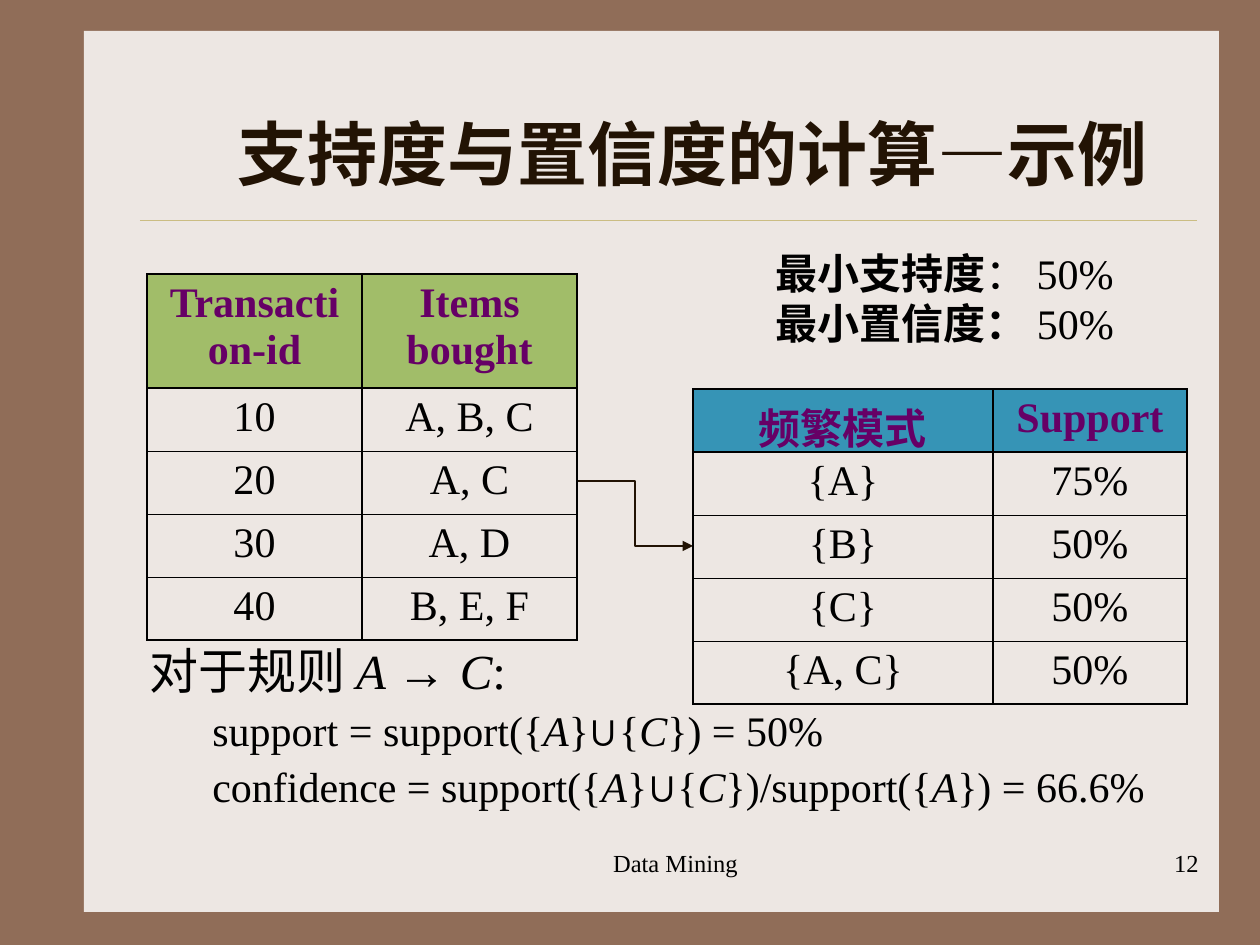
"""Build the slide on computing support and confidence of a rule."""
from dataclasses import dataclass

from lxml import etree
from pptx import Presentation
from pptx.dml.color import RGBColor
from pptx.enum.shapes import MSO_CONNECTOR, MSO_SHAPE
from pptx.enum.text import MSO_ANCHOR, MSO_AUTO_SIZE, PP_ALIGN
from pptx.oxml.ns import qn
from pptx.util import Pt

STRAIGHT, ELBOW = MSO_CONNECTOR.STRAIGHT, MSO_CONNECTOR.ELBOW
RECTANGLE = MSO_SHAPE.RECTANGLE
LEFT, CENTER, RIGHT = PP_ALIGN.LEFT, PP_ALIGN.CENTER, PP_ALIGN.RIGHT
TOP, MIDDLE = MSO_ANCHOR.TOP, MSO_ANCHOR.MIDDLE
NO_FIT, GROW = MSO_AUTO_SIZE.NONE, MSO_AUTO_SIZE.SHAPE_TO_FIT_TEXT
EMU_PER_PX = 914400 / 126
TITLE_ONLY = 5


@dataclass(frozen=True)
class Theme:
    """Colours, fonts and type sizes of the slide."""
    frame: str = "906D58"
    panel: str = "EDE7E3"
    rule: str = "CBBD83"
    title: str = "221304"
    text: str = "000000"
    header_text: str = "660066"
    transactions: str = "A1BD69"
    patterns: str = "3694B6"
    font: str = "Times New Roman"
    symbol_font: str = "Arial"
    dash_font: str = "Karla"
    title_size: int = 40
    rule_size: int = 28
    text_size: int = 24
    footer_size: int = 14
    thick: float = 1.08
    thin: float = 0.45


THEME = Theme()
ITALIC = {"italic": True}
BOLD = {"bold": True}
SYMBOL = {"font": THEME.symbol_font}


def px(length):
    """Turn pixels into EMU."""
    return round(length * EMU_PER_PX)


def rgb(code):
    """Turn a hex code into a colour."""
    return RGBColor.from_string(code)


def add_text(paragraph, text, size=THEME.text_size, color=THEME.text,
             font=THEME.font, bold=False, italic=False):
    """Add one formatted run to a paragraph."""
    run = paragraph.add_run()
    run.text = text
    run.font.size, run.font.name = Pt(size), font
    run.font.bold, run.font.italic = bold, italic
    run.font.color.rgb = rgb(color)


def add_runs(paragraph, runs, align=LEFT, **common):
    """Fill a paragraph with (text, format) runs."""
    paragraph.alignment = align
    for text, own in runs:
        add_text(paragraph, text, **{**common, **own})


def add_box(slide, box, paragraphs, align=LEFT, anchor=TOP, wrap=True, fit=NO_FIT, **common):
    """Add a text box with one list of runs for each paragraph."""
    frame = slide.shapes.add_textbox(*map(px, box)).text_frame
    frame.word_wrap, frame.auto_size, frame.vertical_anchor = wrap, fit, anchor
    for index, runs in enumerate(paragraphs):
        paragraph = frame.add_paragraph() if index else frame.paragraphs[0]
        add_runs(paragraph, runs, align, **common)
    return frame


def add_line(slide, kind, ends, color, width, arrow=False):
    """Add a connector, with an arrowhead at its end if asked."""
    connector = slide.shapes.add_connector(kind, *map(px, ends))
    connector.line.color.rgb, connector.line.width = rgb(color), Pt(width)
    if arrow:
        line = connector.line._get_or_add_ln()
        etree.SubElement(line, qn("a:tailEnd"), type="triangle")
    etree.SubElement(connector.element.spPr, qn("a:effectLst"))


def set_borders(cell, top, bottom):
    """Draw the four cell borders, the sides being thick."""
    properties = cell._tc.get_or_add_tcPr()
    widths = {"L": THEME.thick, "R": THEME.thick, "T": top, "B": bottom}
    for position, (side, width) in enumerate(widths.items()):
        line = etree.Element(qn(f"a:ln{side}"), w=str(Pt(width)))
        fill = etree.SubElement(line, qn("a:solidFill"))
        etree.SubElement(fill, qn("a:srgbClr"), val=THEME.text)
        properties.insert(position, line)


def add_grid(slide, corner, widths, heights, rows, header_fill):
    """Add a table with a coloured header row and thin inner row lines."""
    box = (*corner, sum(widths), sum(heights))
    table = slide.shapes.add_table(len(rows), len(widths), *map(px, box)).table
    table.first_row = table.horz_banding = False
    for column, width in zip(table.columns, widths):
        column.width = px(width)
    edges = [THEME.thick] * 2 + [THEME.thin] * (len(rows) - 2) + [THEME.thick]
    for r, values in enumerate(rows):
        table.rows[r].height = px(heights[r])
        for c, value in enumerate(values):
            cell = table.cell(r, c)
            if r:
                cell.fill.background()
            else:
                cell.fill.solid()
                cell.fill.fore_color.rgb = rgb(header_fill)
            set_borders(cell, edges[r], edges[r + 1])
            add_runs(cell.text_frame.paragraphs[0], [(value, {})], CENTER, bold=not r,
                     color=THEME.text if r else THEME.header_text)


def add_backdrop(slide):
    """Colour the frame and lay the panel and rule behind the title."""
    slide.background.fill.solid()
    slide.background.fill.fore_color.rgb = rgb(THEME.frame)
    panel = slide.shapes.add_shape(RECTANGLE, *map(px, (84, 31, 1135, 881)))
    panel.shadow.inherit = False
    panel.fill.solid()
    panel.fill.fore_color.rgb = rgb(THEME.panel)
    panel.line.fill.background()
    slide.shapes.title.element.addprevious(panel.element)
    add_line(slide, STRAIGHT, (140, 220, 1197, 220), THEME.rule, 0.25)


def set_title(slide):
    """Place and fill the title placeholder."""
    title = slide.shapes.title
    title.left, title.top, title.width, title.height = map(px, (199, 105, 987, 95))
    frame = title.text_frame
    frame.auto_size, frame.vertical_anchor = NO_FIT, MIDDLE
    runs = [("支持度与置信度的计算", {}), ("—", {"font": THEME.dash_font}), ("示例", {})]
    add_runs(frame.paragraphs[0], runs, CENTER, size=THEME.title_size,
             color=THEME.title, bold=True)


def add_rule_text(slide):
    """Add the rule with its support and confidence formulas."""
    union = [("A", ITALIC), ("}", {}), ("∪", SYMBOL), ("{", {}), ("C", ITALIC)]
    rule = [("对于规则 ", {}), ("A ", ITALIC), ("→ ", SYMBOL), ("C", ITALIC), (":", {})]
    rule = [(text, {"size": THEME.rule_size, **own}) for text, own in rule]
    support = [("support = support({", {}), *union, ("}) = 50%", {})]
    confidence = [("confidence = support({", {}), *union, ("})/support({", {}),
                  ("A", ITALIC), ("}) = 66.6%", {})]
    frame = add_box(slide, (137, 641, 1081, 189), [rule, support, confidence])
    for index, paragraph in enumerate(frame.paragraphs):
        paragraph.line_spacing = 0.9
        margin, indent = (102, -39) if index else (48, -48)
        properties = paragraph._p.get_or_add_pPr()
        properties.set("marL", str(px(margin)))
        properties.set("indent", str(px(indent)))
        if index:
            paragraph.level = 1
            paragraph.space_before = Pt(6)


def main():
    """Build and save the slide."""
    deck = Presentation()
    deck.slide_width, deck.slide_height = px(1260), px(945)
    slide = deck.slides.add_slide(deck.slide_layouts[TITLE_ONLY])
    add_backdrop(slide)
    set_title(slide)
    add_box(slide, (476, 842, 399, 63), [[("Data Mining", {})]], CENTER, size=THEME.footer_size)
    add_box(slide, (949, 842, 262, 63), [[("12", {})]], RIGHT, size=THEME.footer_size)
    add_rule_text(slide)
    thresholds = [[("最小支持度", BOLD), ("： 50%", {})],
                  [("最小置信度： ", BOLD), ("50%", {})]]
    add_box(slide, (763, 241, 378, 113), thresholds, anchor=MIDDLE, wrap=False, fit=GROW)
    add_line(slide, ELBOW, (577, 481, 693, 546), THEME.title, 0.75, arrow=True)
    transactions = [("Transaction-id", "Items bought"), ("10", "A, B, C"), ("20", "A, C"),
                    ("30", "A, D"), ("40", "B, E, F")]
    add_grid(slide, (147, 274), [215, 215], [114] + [63] * 4, transactions, THEME.transactions)
    patterns = [("频繁模式", "Support"), ("{A}", "75%"), ("{B}", "50%"), ("{C}", "50%"),
                ("{A, C}", "50%")]
    add_grid(slide, (693, 389), [300, 194], [63] * 5, patterns, THEME.patterns)
    deck.save("out.pptx")


if __name__ == "__main__":
    main()
